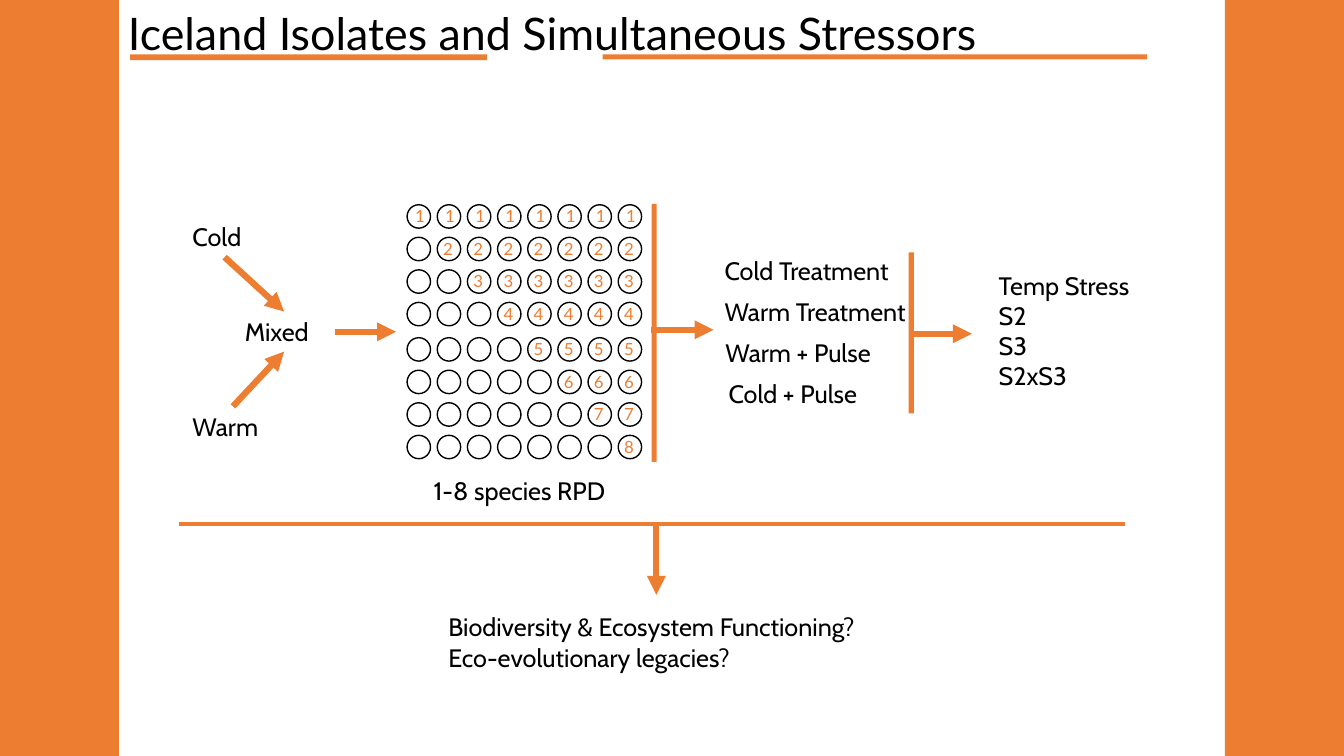
import pptx
import pptx.util
import pptx.dml.color
import pptx.enum.shapes
import pptx.enum.text
import pptx.oxml.ns
import lxml.etree

Cm = pptx.util.Cm
Pt = pptx.util.Pt
MSO_SHAPE = pptx.enum.shapes.MSO_SHAPE
ALIGN = pptx.enum.text.PP_ALIGN
COLORS = {
    name: pptx.dml.color.RGBColor.from_string(value)
    for name, value in {"orange": "ED7D31", "black": "000000"}.items()
}

presentation = pptx.Presentation()
presentation.slide_width = Cm(33.87)
presentation.slide_height = Cm(19.05)
slide = presentation.slides.add_slide(presentation.slide_layouts[5])


def write(shape, lines, size, font, color, align=ALIGN.LEFT):
    frame = shape.text_frame
    frame.word_wrap = True
    frame.text = "\n".join(lines)
    for paragraph in frame.paragraphs:
        paragraph.alignment = align
        for name, value in {"size": Pt(size), "name": font}.items():
            setattr(paragraph.font, name, value)
        paragraph.font.color.rgb = COLORS[color]
    return frame


def add_text(place, lines, size=18, font="Cabin", color="black", align=ALIGN.LEFT):
    box = slide.shapes.add_textbox(*map(Cm, place))
    frame = write(box, lines, size, font, color, align)
    frame.auto_size = pptx.enum.text.MSO_AUTO_SIZE.SHAPE_TO_FIT_TEXT


# Title
title = slide.shapes.title
for name, value in {"left": 2.97, "top": -0.94, "width": 26.92, "height": 3.68}.items():
    setattr(title, name, Cm(value))
title_frame = write(title, ["Iceland Isolates and Simultaneous Stressors"], 32, "Lato", "black")
title_frame.vertical_anchor = pptx.enum.text.MSO_ANCHOR.MIDDLE
title_frame.auto_size = pptx.enum.text.MSO_AUTO_SIZE.NONE
title_frame.paragraphs[0].line_spacing = 0.9

# Side bands, title underlines and vertical dividers
bars = [
    (0, 0, 3, 19.05),
    (30.87, 0, 3, 19.05),
    (3.28, 1.37, 8.99, 0.15),
    (15.19, 1.37, 13.72, 0.13),
    (16.42, 5.14, 0.13, 6.5),
    (22.9, 6.36, 0.13, 4.06),
]
for place in bars:
    bar = slide.shapes.add_shape(MSO_SHAPE.RECTANGLE, *map(Cm, place))
    bar.shadow.inherit = False
    bar.fill.solid()
    bar.fill.fore_color.rgb = COLORS["orange"]
    bar.line.fill.background()

# Well plate: row n holds n species from column n onwards
for row in range(8):
    top = 5.16 + 0.82 * row + (0.07 if row >= 4 else 0)
    for column in range(8):
        left = 10.26 + 0.76 * column
        well = slide.shapes.add_shape(
            MSO_SHAPE.OVAL, Cm(left), Cm(top), Cm(0.59), Cm(0.59))
        well.shadow.inherit = False
        well.fill.background()
        well.line.color.rgb = COLORS["black"]
        well.line.width = Pt(1)
        if column >= row:
            shift = 0.1 if row else 0.05
            add_text((left - shift, top - 0.1, 0.66, 0.77),
                     [str(row + 1)], 12, "Lato", "orange")

# Labels
labels = [
    ((4.6, 5.44, 2.13, 1.03), ["Cold"]),
    ((4.6, 10.24, 2.51, 1.03), ["Warm"]),
    ((5.92, 7.85, 2.51, 1.03), ["Mixed"]),
    ((18.01, 6.3, 5.97, 1.03), ["Cold Treatment"]),
    ((18.01, 7.35, 5.44, 1.03), ["Warm Treatment"]),
    ((18.03, 8.38, 5, 1.03), ["Warm + Pulse"]),
    ((18.11, 9.41, 5.18, 1.03), ["Cold + Pulse"]),
    ((24.92, 6.68, 4.95, 3.33), ["Temp Stress", "S2", "S3", "S2xS3"]),
    ((11.05, 15.29, 11.02, 1.8),
     ["Biodiversity & Ecosystem Functioning?", "Eco-evolutionary legacies?"]),
]
for place, lines in labels:
    add_text(place, lines)
add_text((10.03, 11.86, 6.12, 1.03), ["1-8 species RPD"], align=ALIGN.CENTER)

# Arrows and the summary line: ends, width, arrowhead
connectors = [
    ((5.66, 6.48, 7.16, 7.85), 4.5, True),
    ((5.87, 10.24, 7.16, 8.86), 4.5, True),
    ((8.43, 8.36, 9.98, 8.36), 4.5, True),
    ((16.41, 8.31, 17.98, 8.31), 4.5, True),
    ((22.94, 8.41, 24.49, 8.41), 4.5, True),
    ((4.5, 13.2, 28.35, 13.2), 3, False),
    ((16.54, 13.2, 16.54, 14.99), 4.5, True),
]
for ends, width, has_head in connectors:
    connector = slide.shapes.add_connector(
        pptx.enum.shapes.MSO_CONNECTOR.STRAIGHT, *map(Cm, ends))
    connector.line.color.rgb = COLORS["orange"]
    connector.line.width = Pt(width)
    if has_head:
        line = connector.line._get_or_add_ln()
        lxml.etree.SubElement(line, pptx.oxml.ns.qn("a:tailEnd"), type="triangle")
    properties = connector._element.spPr
    lxml.etree.SubElement(properties, pptx.oxml.ns.qn("a:effectLst"))

presentation.save("out.pptx")
